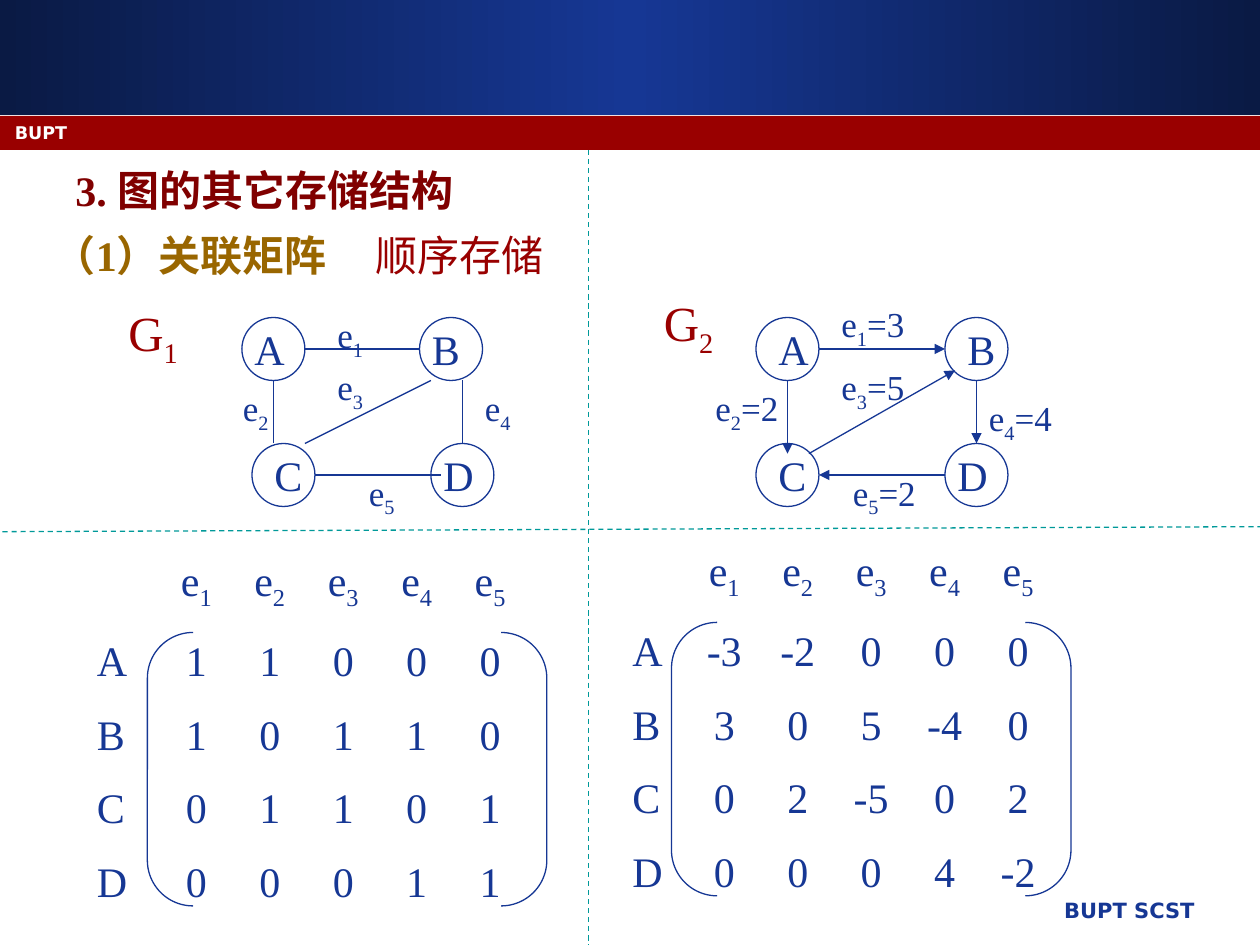
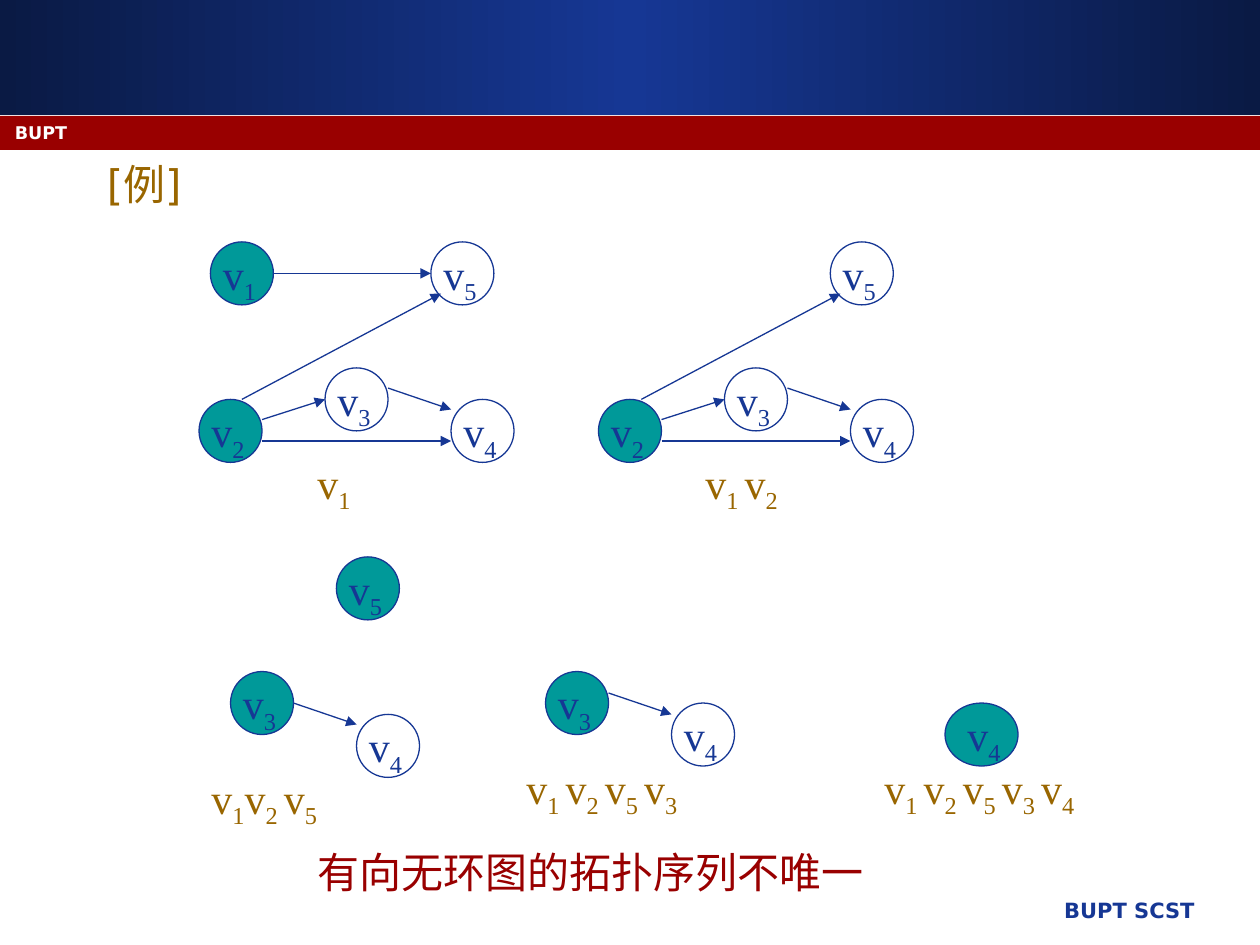
from copy import deepcopy

from lxml.etree import SubElement
from pptx import Presentation
from pptx.dml.color import RGBColor
from pptx.enum.dml import MSO_LINE
from pptx.enum.shapes import MSO_CONNECTOR, MSO_SHAPE
from pptx.enum.text import MSO_ANCHOR, PP_ALIGN
from pptx.oxml.ns import qn
from pptx.util import Inches, Pt

COLORS = {"navy": "163794", "deep": "0A1A44", "red": "990000", "maroon": "800000",
          "gold": "996600", "teal": "009999", "white": "FFFFFF"}
SERIF, SANS = "Times New Roman", "DejaVu Sans"
NODE = 0.5  # diameter of a graph node
COL_STEP = 0.583  # distance between matrix columns

# Slide 1: "_" puts the next character in subscript
EDGE_NAMES = ["e_1", "e_2", "e_3", "e_4", "e_5"]
GRAPHS = [
    {"name": ("G_1", 0.92, 2.35),
     # letter, circle left and top, letter left
     "nodes": [("A", 1.92, 2.52, 1.92), ("B", 3.33, 2.52, 3.33),
               ("C", 2, 3.52, 2.08), ("D", 3.42, 3.52, 3.42)],
     "edges": [(2.42, 2.77, 3.33, 2.77), (2.17, 3.02, 2.17, 3.52),
               (2.42, 3.52, 3.42, 3.02), (3.67, 3.02, 3.67, 3.52),
               (2.5, 3.77, 3.5, 3.77)],
     "labels": [("e_1", 2.58, 2.44), ("e_2", 1.83, 3.02), ("e_3", 2.58, 2.85),
                ("e_4", 3.75, 3.02), ("e_5", 2.83, 3.69)],
     "directed": False,
     "matrix": (0.67, 4.35), "first_col": 0.79, "bracket": (1.17, 5.02),
     "rows": {"A": [1, 1, 0, 0, 0], "B": [1, 0, 1, 1, 0],
              "C": [0, 1, 1, 0, 1], "D": [0, 0, 0, 1, 1]}},
    {"name": ("G_2", 5.17, 2.27),
     "nodes": [("A", 6, 2.52, 6.08), ("B", 7.5, 2.52, 7.58),
               ("C", 6, 3.52, 6.08), ("D", 7.5, 3.52, 7.5)],
     "edges": [(6.5, 2.77, 7.5, 2.77), (6.25, 3.02, 6.25, 3.6),
               (6.42, 3.6, 7.58, 2.94), (7.75, 3.02, 7.75, 3.52),
               (7.5, 3.77, 6.5, 3.77)],
     "labels": [("e_1=3", 6.58, 2.35), ("e_2=2", 5.58, 3.02), ("e_3=5", 6.58, 2.85),
                ("e_4=4", 7.75, 3.1), ("e_5=2", 6.67, 3.69)],
     "directed": True,
     "matrix": (4.92, 4.27), "first_col": 0.73, "bracket": (5.33, 4.94),
     "rows": {"A": [-3, -2, 0, 0, 0], "B": [3, 0, 5, -4, 0],
              "C": [0, 2, -5, 0, 2], "D": [0, 0, 0, 4, -2]}},
]
DIVIDERS = [(4.67, 1.19, 4.67, 7.5), (0.02, 4.22, 10, 4.18)]

# Slide 2: the steps of a topological sort
CORE_NODES = {"v_5": (3.42, 1.92), "v_2": (1.58, 3.17),
              "v_3": (2.58, 2.92), "v_4": (3.58, 3.17)}
CORE_EDGES = [(1.92, 3.17, 3.5, 2.33), (2.08, 3.33, 2.58, 3.17),
              (3.08, 3.08, 3.58, 3.25), (2.08, 3.5, 3.58, 3.5)]
STEPS = [
    {"nodes": {"v_1": (1.67, 1.92), **CORE_NODES},
     "edges": [(2.17, 2.17, 3.42, 2.17), *CORE_EDGES],
     "ready": ["v_1", "v_2"], "order": ("v_1", 2.42, 3.58)},
    {"nodes": CORE_NODES, "edges": CORE_EDGES, "dx": 3.17,
     "ready": ["v_2"], "order": ("v_1 v_2", 5.5, 3.58)},
    {"nodes": {"v_5": (2.67, 4.42), "v_3": (1.83, 5.33), "v_4": (2.83, 5.67)},
     "edges": [(2.33, 5.58, 2.83, 5.75)],
     "ready": ["v_5", "v_3"], "order": ("v_1v_2 v_5", 1.58, 6.08)},
    {"nodes": {"v_3": (4.33, 5.33), "v_4": (5.33, 5.58)},
     "edges": [(4.83, 5.5, 5.33, 5.67)],
     "ready": ["v_3"], "order": ("v_1 v_2 v_5 v_3", 4.08, 6)},
    {"nodes": {"v_4": (7.5, 5.58)}, "edges": [], "node_w": 0.58, "label_dx": 0.08,
     "ready": ["v_4"], "order": ("v_1 v_2 v_5 v_3 v_4", 6.92, 6)},
]


def rgb(name):
    return RGBColor.from_string(COLORS[name])


# Drawing helpers
def add_shape(s, kind, x, y, w, h, fill=None, line=None):
    sp = s.shapes.add_shape(kind, Inches(x), Inches(y), Inches(w), Inches(h))
    sp.shadow.inherit = False
    if fill:
        sp.fill.solid()
        sp.fill.fore_color.rgb = rgb(fill)
    else:
        sp.fill.background()
    if line:
        sp.line.color.rgb = rgb(line)
        sp.line.width = Pt(0.75)
    else:
        sp.line.fill.background()
    return sp


def add_line(s, points, color="navy", arrow=False, dash=False):
    ln = s.shapes.add_connector(MSO_CONNECTOR.STRAIGHT, *[Inches(v) for v in points])
    SubElement(ln._element.spPr, qn("a:effectLst"))
    ln.line.color.rgb = rgb(color)
    ln.line.width = Pt(0.75)
    if dash:
        ln.line.dash_style = MSO_LINE.DASH
    if arrow:
        SubElement(ln.line._get_or_add_ln(), qn("a:tailEnd"), type="triangle")


def set_tabs(p, stops, align):
    tabs = SubElement(p._p.get_or_add_pPr(), qn("a:tabLst"))
    for pos in stops:
        SubElement(tabs, qn("a:tab"), pos=str(Inches(pos)), algn=align)


def add_run(p, text, size, color, font=SERIF, bold=False):
    r = p.add_run()
    r.text = text
    r.font.size, r.font.name, r.font.bold = Pt(size), font, bold
    r.font.color.rgb = rgb(color)
    return r


def add_marked(p, text, size, color, font=SERIF, bold=False):
    """Write text; the character after "_" and a space behind it are subscript."""
    plain, *rest = text.split("_")
    if plain:
        add_run(p, plain, size, color, font, bold)
    for part in rest:
        cut = 2 if part[1:2] == " " else 1
        sub = add_run(p, part[:cut], size, color, font, bold)
        sub.font._element.set("baseline", "-25000")
        if part[cut:]:
            add_run(p, part[cut:], size, color, font, bold)


def add_text(s, text, x, y, w, h=0.5, size=24, color="navy", font=SERIF, bold=False):
    tf = s.shapes.add_textbox(Inches(x), Inches(y), Inches(w), Inches(h)).text_frame
    tf.word_wrap = True
    add_marked(tf.paragraphs[0], text, size, color, font, bold)
    return tf


def add_slide(prs):
    """Blank slide with the shared bands and footer."""
    s = prs.slides.add_slide(prs.slide_layouts[6])
    band = add_shape(s, MSO_SHAPE.RECTANGLE, 0, 0, 10, 0.91)
    band.fill.gradient()
    band.fill.gradient_angle = 0
    stops = band.fill.gradient_stops
    first = stops[0]._gs
    first.getparent().insert(1, deepcopy(first))
    for stop, pos, name in zip(band.fill.gradient_stops, (0, 0.5, 1),
                               ("deep", "navy", "deep")):
        stop.position = pos
        stop.color.rgb = rgb(name)
    add_shape(s, MSO_SHAPE.RECTANGLE, 0, 0.92, 10, 0.27, "red")
    footer = add_text(s, "BUPT SCST", 4.21, 7.07, 5.37, 0.35, 12, font=SANS, bold=True)
    footer.paragraphs[0].alignment = PP_ALIGN.RIGHT
    add_text(s, "BUPT", 0.02, 0.92, 9.25, 0.25, 10, "white", SANS, True)
    return s


# Slide 1 parts
def add_matrix(s, g):
    lines = ["\t".join(["", *EDGE_NAMES])]
    lines += ["\t".join([name, *map(str, row)]) for name, row in g["rows"].items()]
    stops = [g["first_col"] + COL_STEP * i for i in range(len(EDGE_NAMES))]
    x, y = g["matrix"]
    tf = s.shapes.add_textbox(Inches(x), Inches(y), Inches(4.17), Inches(2.93)).text_frame
    tf.word_wrap = True
    for i, text in enumerate(lines):
        p = tf.add_paragraph() if i else tf.paragraphs[0]
        set_tabs(p, stops, "ctr")
        if i:
            p.space_before = Pt(13.2)
        add_marked(p, text, 24, "navy")
    bracket = add_shape(s, MSO_SHAPE.DOUBLE_BRACKET, *g["bracket"], 3.17, 2.17, line="navy")
    bracket.adjustments[0] = 0.167


def build_incidence(prs):
    s = add_slide(prs)
    add_text(s, "3. 图的其它存储结构", 0.5, 1.26, 9, color="maroon", bold=True)
    tf = add_text(s, "（1）关联矩阵\t", 0.33, 1.77, 8.5, color="gold", bold=True)
    set_tabs(tf.paragraphs[0], [2.55], "l")
    add_run(tf.paragraphs[0], "顺序存储", 24, "red")
    for g in GRAPHS:
        for _, x, y, _ in g["nodes"]:
            add_shape(s, MSO_SHAPE.OVAL, x, y, NODE, NODE, line="navy")
        for edge in g["edges"]:
            add_line(s, edge, arrow=g["directed"])
        for letter, _, y, x in g["nodes"]:
            add_text(s, letter, x, y, 0.58)
        for text, x, y in g["labels"]:
            add_text(s, text, x, y, 0.83, 0.43, 20)
        text, x, y = g["name"]
        add_text(s, text, x, y, 0.92, 0.57, 28, "red")
        add_matrix(s, g)
    for points in DIVIDERS:
        add_line(s, points, "teal", dash=True)


# Slide 2 parts
def build_topological(prs):
    s = add_slide(prs)
    title = add_text(s, "[例]", 0.75, 1.17, 8.5, 0.58, color="gold", font=SANS)
    title.vertical_anchor = MSO_ANCHOR.MIDDLE
    for step in STEPS:
        dx = step.get("dx", 0)
        for name, (x, y) in step["nodes"].items():
            fill = "teal" if name in step["ready"] else None
            add_shape(s, MSO_SHAPE.OVAL, x + dx, y, step.get("node_w", NODE), NODE,
                      fill, "navy")
            add_text(s, name, x + dx + step.get("label_dx", 0), y, 0.67)
        for x1, y1, x2, y2 in step["edges"]:
            add_line(s, (x1 + dx, y1, x2 + dx, y2), arrow=True)
        text, x, y = step["order"]
        add_text(s, text, x, y, 2, color="gold")
    add_text(s, "有向无环图的拓扑序列不唯一", 2.42, 6.67, 5, color="red")


def main():
    prs = Presentation()
    prs.slide_width, prs.slide_height = Inches(10), Inches(7.5)
    build_incidence(prs)
    build_topological(prs)
    prs.save("out.pptx")


if __name__ == "__main__":
    main()
